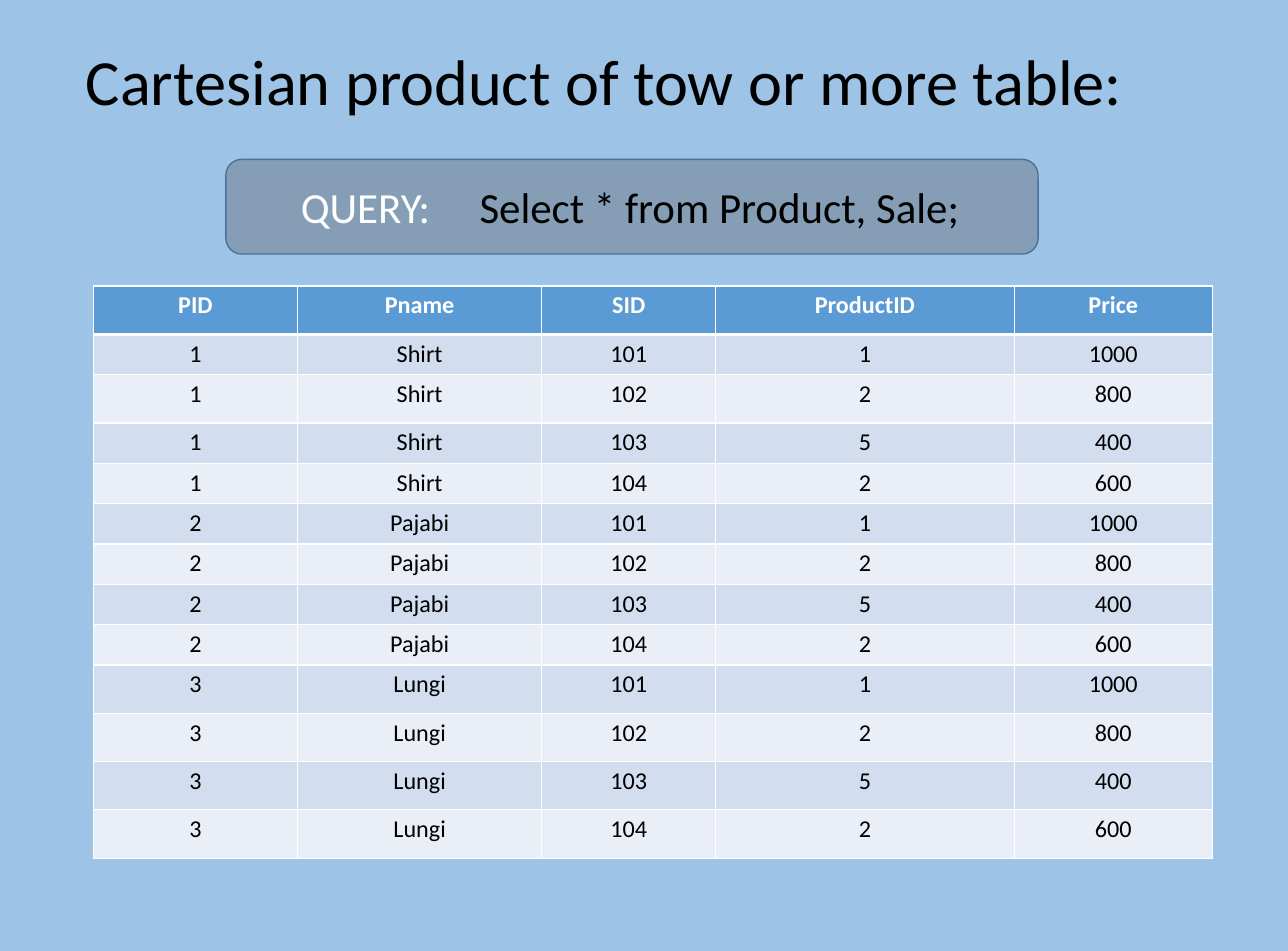
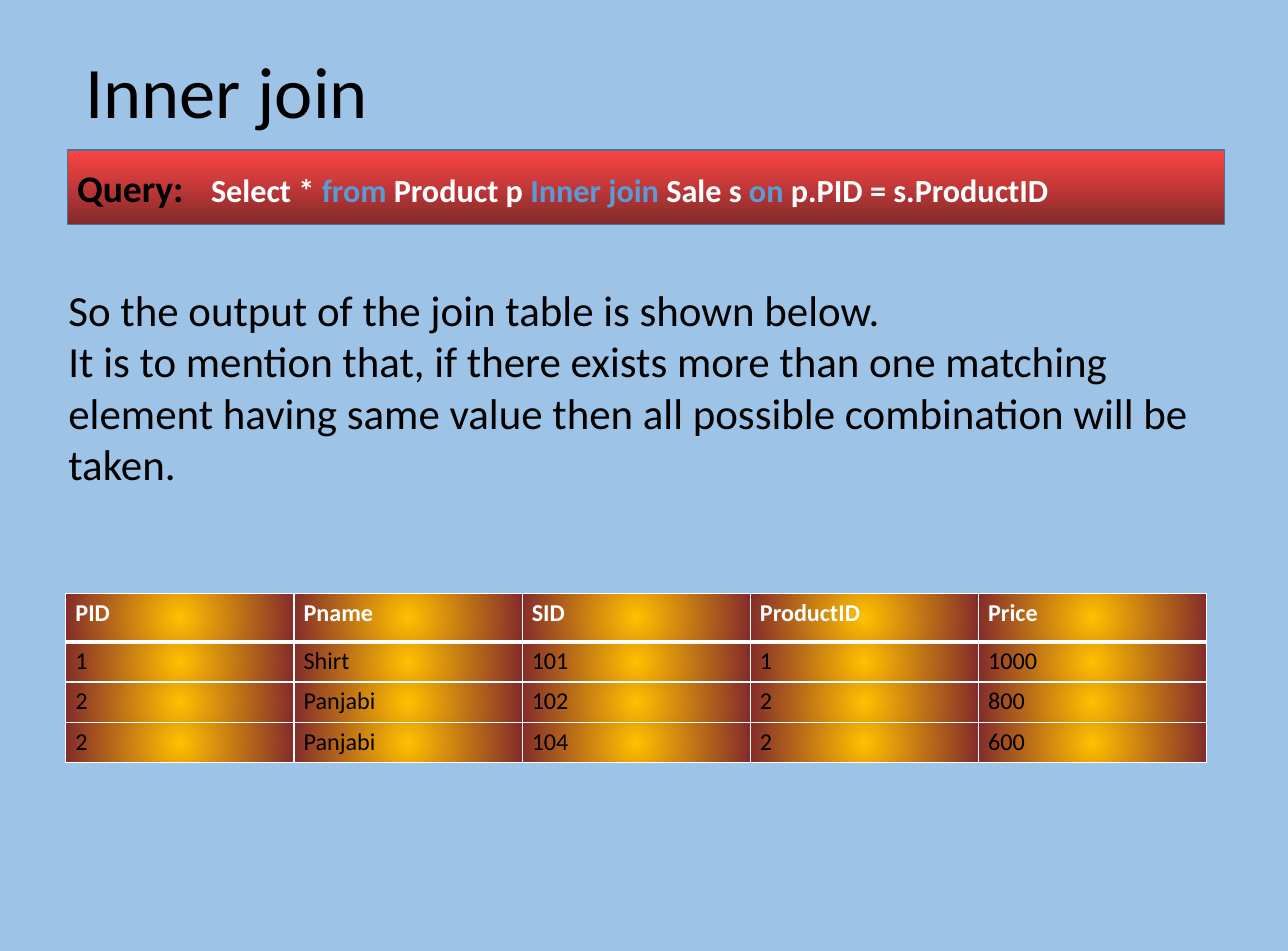
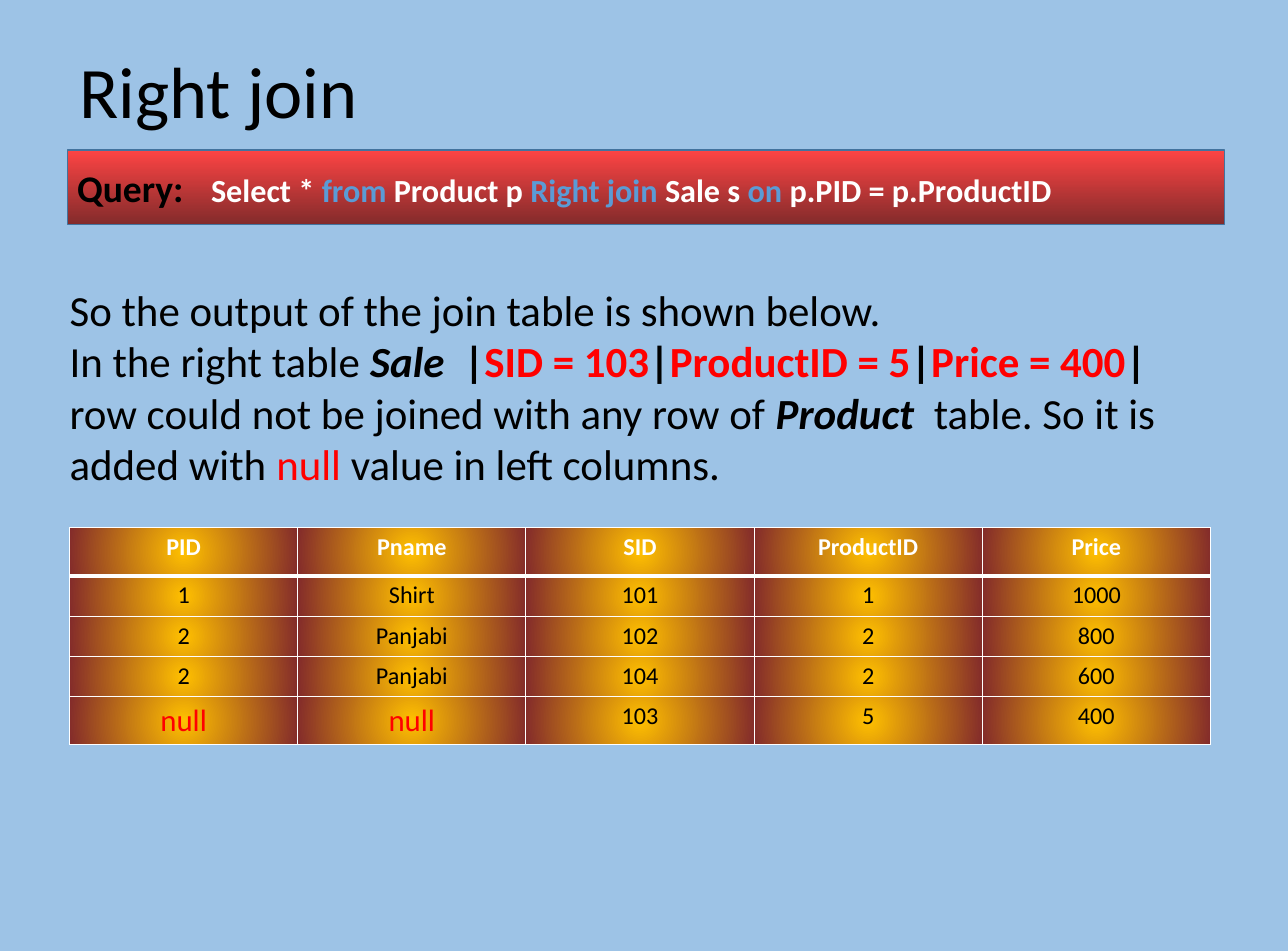
from itertools import product

from lxml import etree
from pptx import Presentation
from pptx.dml.color import RGBColor
from pptx.enum.shapes import MSO_SHAPE
from pptx.enum.text import MSO_ANCHOR, MSO_AUTO_SIZE, PP_ALIGN
from pptx.oxml.ns import qn
from pptx.util import Cm, Pt

RECT, ROUNDED = MSO_SHAPE.RECTANGLE, MSO_SHAPE.ROUNDED_RECTANGLE
TOP, MIDDLE = MSO_ANCHOR.TOP, MSO_ANCHOR.MIDDLE
LEFT, CENTER = PP_ALIGN.LEFT, PP_ALIGN.CENTER
NO_AUTOFIT = MSO_AUTO_SIZE.NONE

FONT = "Calibri"
TITLE_ONLY = 5
COLORS = {
    "background": "9DC3E6",
    "ink": "000000",
    "white": "FFFFFF",
    "keyword": "5B9BD5",
    "alert": "FF0000",
    "header": "5B9BD5",
    "odd_row": "D2DEEF",
    "even_row": "EAEFF7",
    "outline": "43739E",
    "gray": "595959",
    "bar_top": "FE4444",
    "maroon": "832B2B",
    "gold": "FFC000",
}

HEADINGS = ["PID", "Pname", "SID", "ProductID", "Price"]
PRODUCTS = [("1", "Shirt"), ("2", "Pajabi"), ("3", "Lungi")]
SALES = [("101", "1", "1000"), ("102", "2", "800"),
         ("103", "5", "400"), ("104", "2", "600")]
MATCHES = [("1", "Shirt", "101", "1", "1000"),
           ("2", "Panjabi", "102", "2", "800"),
           ("2", "Panjabi", "104", "2", "600")]
UNMATCHED = ("null", "null", "103", "5", "400")
TALL_ROW, ROW = 1.27, 1.06
JOIN_COLUMNS = [6] * 5
OUTPUT_LINE = [("So the output of the join table is shown below.", {})]


def rgb(name):
    return RGBColor.from_string(COLORS[name])


def add_run(p, text, size, color="ink", bold=False, italic=False):
    r = p.add_run()
    r.text = text
    r.font.name = FONT
    r.font.size = Pt(size)
    r.font.bold = bold
    r.font.italic = italic
    r.font.color.rgb = rgb(color)


def add_tab_stop(p, position):
    tabs = etree.SubElement(p._p.get_or_add_pPr(), qn("a:tabLst"))
    etree.SubElement(tabs, qn("a:tab"), pos=str(Cm(position)), algn="l")


def fill_gradient(fill, start, end):
    fill.gradient()
    for stop, color in zip(fill.gradient_stops, (start, end)):
        stop.color.rgb = rgb(color)


def add_titled_slide(prs, text, box, size, align=CENTER, anchor=TOP,
                     wrap=False, spacing=1.0):
    s = prs.slides.add_slide(prs.slide_layouts[TITLE_ONLY])
    title = s.shapes.title
    title.left, title.top, title.width, title.height = map(Cm, box)
    tf = title.text_frame
    tf.auto_size = NO_AUTOFIT
    tf.word_wrap = wrap
    tf.vertical_anchor = anchor
    p = tf.paragraphs[0]
    p.alignment = align
    p.line_spacing = spacing
    add_run(p, text, size)
    return s


def add_query_shape(s, kind, box, tab):
    """Add an outlined shape; return it with its tabbed first paragraph."""
    shape = s.shapes.add_shape(kind, *map(Cm, box))
    shape.shadow.inherit = False
    shape.line.color.rgb = rgb("outline")
    shape.line.width = Pt(1)
    tf = shape.text_frame
    tf.word_wrap = True
    tf.vertical_anchor = MIDDLE
    p = tf.paragraphs[0]
    p.alignment = LEFT
    add_tab_stop(p, tab)
    return shape, p


def add_join_query(s, join, condition):
    bar, p = add_query_shape(s, RECT, (1.78, 3.94, 30.43, 1.96), 3.52)
    fill_gradient(bar.fill, "bar_top", "maroon")
    bar.fill.gradient_angle = 270
    add_run(p, "Query:", 28, bold=True)
    parts = [("\tSelect * ", "white"), ("from", "keyword"),
             (" Product p ", "white"), (join, "keyword"),
             (" Sale s ", "white"), ("on", "keyword"),
             (condition, "white")]
    for text, color in parts:
        add_run(p, text, 24, color, bold=True)


def add_explanation(s, left, paragraphs):
    box = s.shapes.add_textbox(Cm(left), Cm(7.32), Cm(30.2), Cm(5.69))
    tf = box.text_frame
    tf.word_wrap = True
    for i, runs in enumerate(paragraphs):
        p = tf.add_paragraph() if i else tf.paragraphs[0]
        for text, style in runs:
            add_run(p, text, 32, **style)


def set_borders(cell, bottom, top):
    tcPr = cell._tc.get_or_add_tcPr()
    for side, width in (("L", 1), ("R", 1), ("T", top), ("B", bottom)):
        line = etree.SubElement(tcPr, qn(f"a:ln{side}"), w=str(Pt(width)))
        solid = etree.SubElement(line, qn("a:solidFill"))
        etree.SubElement(solid, qn("a:srgbClr"), val=COLORS["white"])


def fill_banded(cell, row):
    color = "header" if row == 0 else "odd_row" if row % 2 else "even_row"
    cell.fill.solid()
    cell.fill.fore_color.rgb = rgb(color)


def fill_glow(cell, row):
    """Fill with gold that fades to maroon from the centre, in any row."""
    fill_gradient(cell.fill, "gold", "maroon")
    grad = cell._tc.tcPr.find(qn("a:gradFill"))
    grad.remove(grad.find(qn("a:lin")))
    circle = etree.SubElement(grad, qn("a:path"), path="circle")
    etree.SubElement(circle, qn("a:fillToRect"),
                     l="50000", t="50000", r="50000", b="50000")


def add_data_table(s, left, top, widths, records, fill_cell,
                   align=CENTER, tall_rows=(0,)):
    rows = [HEADINGS, *records]
    heights = [TALL_ROW if i in tall_rows else ROW for i in range(len(rows))]
    frame = s.shapes.add_table(len(rows), len(widths), Cm(left), Cm(top),
                               Cm(sum(widths)), Cm(sum(heights)))
    table = frame.table
    table.horz_banding = False
    for column, width in zip(table.columns, widths):
        column.width = Cm(width)
    for i, (values, height) in enumerate(zip(rows, heights)):
        table.rows[i].height = Cm(height)
        for j, value in enumerate(values):
            cell = table.cell(i, j)
            set_borders(cell, bottom=1 if i else 3, top=3 if i == 1 else 1)
            fill_cell(cell, i)
            p = cell.text_frame.paragraphs[0]
            p.alignment = align
            if value == "null":
                add_run(p, value, 23, "alert")
            else:
                add_run(p, value, 18, "ink" if i else "white", bold=i == 0)


def build_cartesian_slide(prs):
    s = add_titled_slide(prs, "Cartesian product of tow or more table:",
                         (2, -0.2, 29.21, 4.83), 48, LEFT, MIDDLE,
                         wrap=True, spacing=0.9)
    box, p = add_query_shape(s, ROUNDED, (5.94, 4.19, 21.36, 2.49), 4.7)
    box.text_frame.margin_left = Cm(1.85)
    box.fill.solid()
    box.fill.fore_color.rgb = rgb("gray")
    color = box.fill._xPr.find(qn("a:solidFill"))[0]
    etree.SubElement(color, qn("a:alpha"), val="34000")
    add_run(p, "QUERY:", 32, "white")
    add_run(p, "\tSelect * from Product, Sale;", 32)
    records = [item + sale for item, sale in product(PRODUCTS, SALES)]
    add_data_table(s, 2.46, 7.52, [5.36, 6.43, 4.57, 7.85, 5.21], records,
                   fill_banded, tall_rows=(0, 2, 9, 10, 11, 12))


def build_inner_join_slide(prs):
    s = add_titled_slide(prs, "Inner join", (1.52, 1.09, 8.89, 2.57), 54)
    add_join_query(s, "Inner join", " p.PID = s.ProductID")
    add_data_table(s, 1.73, 15.6, JOIN_COLUMNS, MATCHES, fill_glow, LEFT)
    add_explanation(s, 1.55, [OUTPUT_LINE, [
        ("It is to mention that, if there exists more than one matching "
         "element having same value then all possible combination will be "
         "taken.", {})]])


def build_right_join_slide(prs):
    s = add_titled_slide(prs, "Right join", (1.45, 1.09, 8.59, 2.57), 54)
    add_join_query(s, "Right join", " p.PID = p.ProductID")
    add_data_table(s, 1.83, 13.87, JOIN_COLUMNS, [*MATCHES, UNMATCHED],
                   fill_glow)
    strong = {"bold": True}
    name = {"bold": True, "italic": True}
    value = {"bold": True, "color": "alert"}
    add_explanation(s, 1.58, [OUTPUT_LINE, [
        ("In the right table ", {}), ("Sale  ", name), ("|", strong),
        ("SID = 103", value), ("|", strong),
        ("ProductID = 5", value), ("|", strong),
        ("Price = 400", value), ("|", strong),
        ("row could not be joined with any row of ", {}),
        ("Product ", name), (" table. So it is added with ", {}),
        ("null", {"color": "alert"}), (" value in left columns.", {})]])


def main():
    prs = Presentation()
    prs.slide_width, prs.slide_height = Cm(33.87), Cm(25)
    background = prs.slide_master.background.fill
    background.solid()
    background.fore_color.rgb = rgb("background")
    build_cartesian_slide(prs)
    build_inner_join_slide(prs)
    build_right_join_slide(prs)
    prs.save("out.pptx")


if __name__ == "__main__":
    main()
